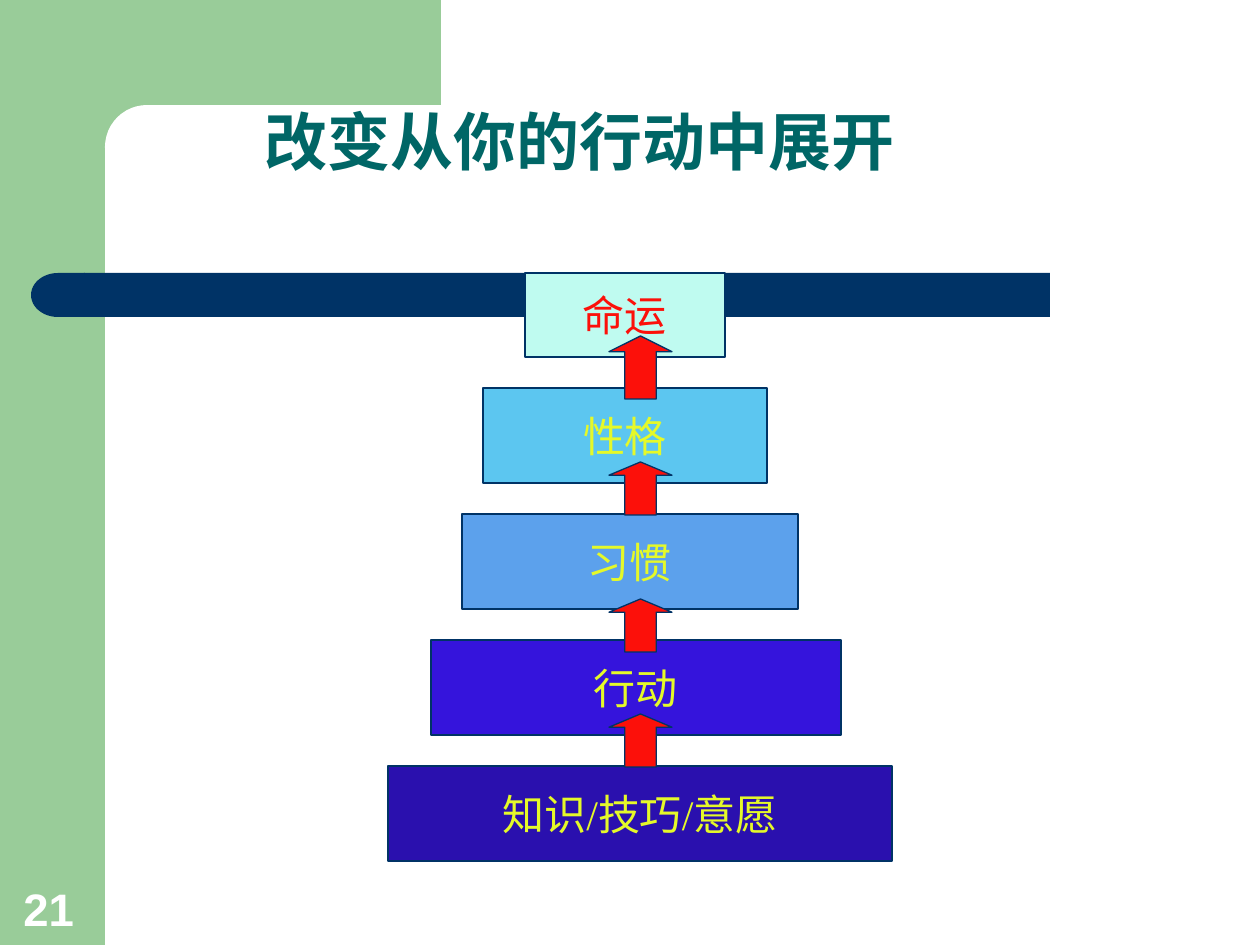
from dataclasses import dataclass

from pptx import Presentation
from pptx.dml.color import RGBColor
from pptx.enum.shapes import MSO_SHAPE
from pptx.enum.text import MSO_ANCHOR, PP_ALIGN
from pptx.util import Emu, Pt

RECTANGLE = MSO_SHAPE.RECTANGLE
ROUNDED = MSO_SHAPE.ROUNDED_RECTANGLE
DELAY = MSO_SHAPE.FLOWCHART_DELAY
UP_ARROW = MSO_SHAPE.UP_ARROW
TOP, MIDDLE, BOTTOM = MSO_ANCHOR.TOP, MSO_ANCHOR.MIDDLE, MSO_ANCHOR.BOTTOM
LEFT, CENTER = PP_ALIGN.LEFT, PP_ALIGN.CENTER


@dataclass(frozen=True)
class Theme:
    green: str = "99CC99"
    navy: str = "003366"
    white: str = "FFFFFF"
    teal: str = "006666"
    yellow: str = "E5F929"
    red: str = "FC100A"
    heading_font: str = "Arial"
    step_font: str = "Times New Roman"
    title_size: int = 36
    step_size: int = 24
    number_size: int = 26
    outline: float = 0.75


THEME = Theme()
EMU_PER_PX = 914400 / 126
SLIDE_SIZE = (1260, 945)

TITLE = "改变从你的行动中展开"
PAGE_NUMBER = "21"

BACKDROP = [
    (RECTANGLE, (0, 0, 105, 945), THEME.green),
    (RECTANGLE, (95, 0, 346, 147), THEME.green),
    (ROUNDED, (105, 105, 703, 84), THEME.white),
    (RECTANGLE, (84, 273, 966, 44), THEME.navy),
]
BAR_END = (31, 273, 54, 44)

STEPS = [
    ("知识/技巧/意愿", 388, 504, "2A10AE", THEME.yellow),
    ("行动", 431, 410, "3514DC", THEME.yellow),
    ("习惯", 462, 336, "5CA1EC", THEME.yellow),
    ("性格", 483, 284, "5CC6F0", THEME.yellow),
    ("命运", 525, 200, "BFFBF0", THEME.red),
]
LOWEST_TOP, STEP_PITCH, STEP_HEIGHT = 766, 126, 95
PEAK_TOP, PEAK_HEIGHT = 273, 84

ARROWS = [(714, 53), (599, 53), (462, 53), (336, 63)]
ARROW_LEFT, ARROW_WIDTH = 609, 63


def px(value):
    return Emu(round(value * EMU_PER_PX))


def add_shape(slide, kind, box, fill, outlined=False):
    shape = slide.shapes.add_shape(kind, *map(px, box))
    shape.shadow.inherit = False
    shape.fill.solid()
    shape.fill.fore_color.rgb = RGBColor.from_string(fill)
    if outlined:
        shape.line.color.rgb = RGBColor.from_string(THEME.navy)
        shape.line.width = Pt(THEME.outline)
    else:
        shape.line.fill.background()
    return shape


def write(shape, text, font, size, color, anchor, align, bold=False, wrap=True):
    frame = shape.text_frame
    frame.word_wrap = wrap
    frame.vertical_anchor = anchor
    paragraph = frame.paragraphs[0]
    paragraph.alignment = align
    run = paragraph.add_run()
    run.text = text
    run.font.name = font
    run.font.size = Pt(size)
    run.font.bold = bold
    run.font.color.rgb = RGBColor.from_string(color)
    return paragraph


def add_backdrop(slide):
    for kind, box, fill in BACKDROP:
        shape = add_shape(slide, kind, box, fill)
        if kind == ROUNDED:
            shape.adjustments[0] = 0.5
    add_shape(slide, DELAY, BAR_END, THEME.navy).rotation = 180


def add_steps(slide):
    for index, (text, left, width, fill, color) in enumerate(STEPS):
        top, height = LOWEST_TOP - index * STEP_PITCH, STEP_HEIGHT
        if index == len(STEPS) - 1:
            top, height = PEAK_TOP, PEAK_HEIGHT
        shape = add_shape(slide, RECTANGLE, (left, top, width, height), fill, True)
        write(shape, text, THEME.step_font, THEME.step_size, color,
              MIDDLE, CENTER, wrap=False)
    for top, height in ARROWS:
        arrow = add_shape(slide, UP_ARROW, (ARROW_LEFT, top, ARROW_WIDTH, height),
                          THEME.red, True)
        arrow.adjustments[0] = 0.5
        arrow.adjustments[1] = 0.25


def add_headings(slide):
    title = slide.shapes.add_textbox(*map(px, (252, 105, 809, 197)))
    paragraph = write(title, TITLE, THEME.heading_font, THEME.title_size,
                      THEME.teal, TOP, LEFT, bold=True)
    paragraph.line_spacing = 0.9
    number = slide.shapes.add_textbox(*map(px, (11, 874, 81, 68)))
    write(number, PAGE_NUMBER, THEME.heading_font, THEME.number_size,
          THEME.white, BOTTOM, LEFT, bold=True)


def main():
    presentation = Presentation()
    presentation.slide_width, presentation.slide_height = map(px, SLIDE_SIZE)
    slide = presentation.slides.add_slide(presentation.slide_layouts[6])
    add_backdrop(slide)
    add_steps(slide)
    add_headings(slide)
    presentation.save("out.pptx")


if __name__ == "__main__":
    main()
